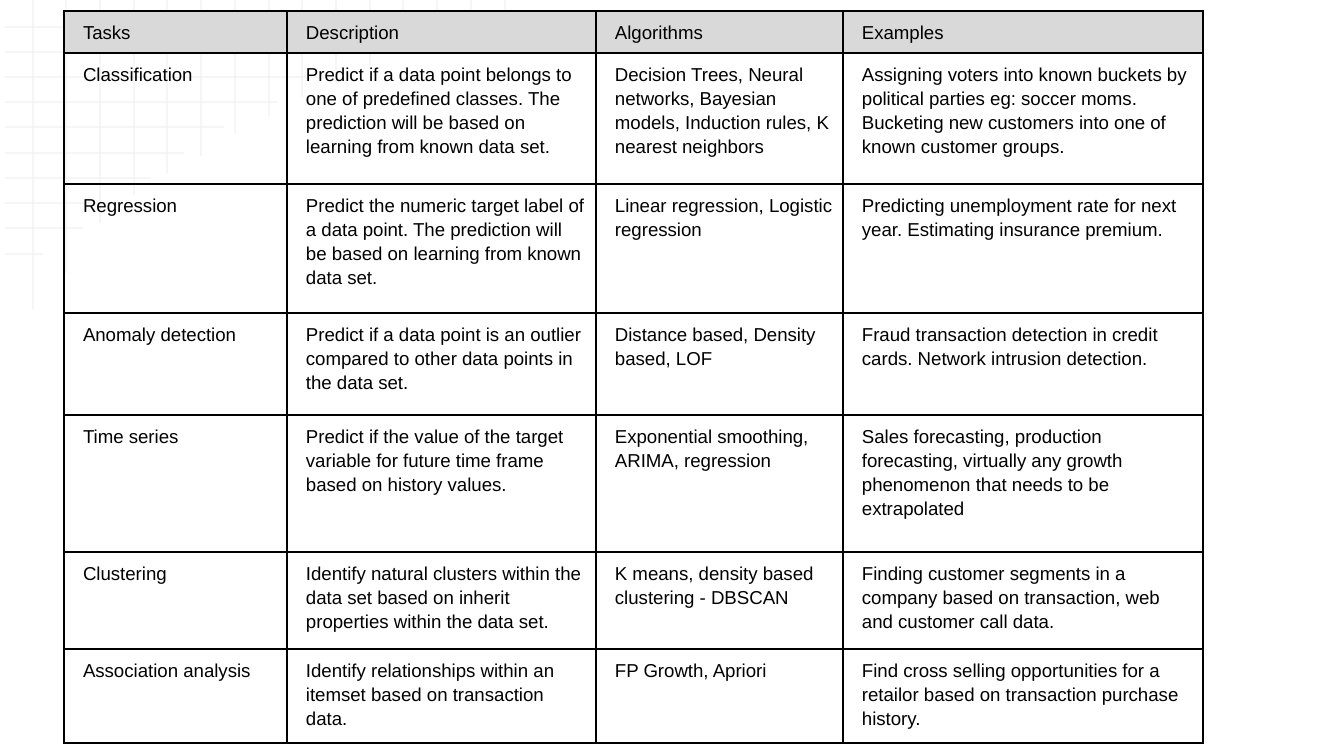
from dataclasses import dataclass

from lxml import etree
from pptx import Presentation
from pptx import util as u
from pptx.dml import color
from pptx.enum import shapes
from pptx.oxml import ns

PX = 6804


@dataclass
class Theme:
    ink: str = "000000"
    head: str = "D9D9D9"
    grid: str = "EFEFEF"
    font: str = "Arial"
    size: int = 10
    line: int = 1
    alpha: int = 54


theme = Theme()


def rule(x, y, right, end):
    line = slide.shapes.add_connector(
        shapes.MSO_CONNECTOR.STRAIGHT, x * PX, y * PX, right * PX, end * PX)
    line.line.width = u.Pt(theme.line)
    line.line.color.rgb = color.RGBColor.from_string(theme.grid)
    props = line._element.spPr
    tint = props.find(".//" + ns.qn("a:srgbClr"))
    etree.SubElement(tint, ns.qn("a:alpha"), val=str(theme.alpha * 1000))
    etree.SubElement(props, ns.qn("a:effectLst"))


def border(cell):
    props = cell._tc.get_or_add_tcPr()
    for at, side in enumerate(("lnL", "lnR", "lnT", "lnB")):
        edge = etree.Element(ns.qn("a:" + side), w=str(u.Pt(theme.line)))
        fill = etree.SubElement(edge, ns.qn("a:solidFill"))
        etree.SubElement(fill, ns.qn("a:srgbClr"), val=theme.ink)
        props.insert(at, edge)


deck = Presentation()
deck.slide_width = 1344 * PX
deck.slide_height = 756 * PX
slide = deck.slides.add_slide(deck.slide_layouts[6])

rights = [482, 396, 324, 278, 224, 184, 151, 114, 83, 43]
for i, right in enumerate(rights):
    y = 27 + i * 227 // 9
    rule(5, y, right, y)

ends = [309, 273, 223, 195, 173, 156, 133, 116, 97, 83, 65, 44, 32, 23, 19]
for i, end in enumerate(ends):
    x = 33 + i * 472 // 14
    rule(x, end, x, 0)

tasks = [
    ("Tasks", "Description", "Algorithms", "Examples"),
    ("Classification",
     "Predict if a data point belongs to one of predefined classes. "
     "The prediction will be based on learning from known data set.",
     "Decision Trees, Neural networks, Bayesian models, Induction rules, "
     "K nearest neighbors",
     "Assigning voters into known buckets by political parties eg: soccer moms. "
     "Bucketing new customers into one of known customer groups."),
    ("Regression",
     "Predict the numeric target label of a data point. "
     "The prediction will be based on learning from known data set.",
     "Linear regression, Logistic regression",
     "Predicting unemployment rate for next year. Estimating insurance premium."),
    ("Anomaly detection",
     "Predict if a data point is an outlier compared to other data points "
     "in the data set.",
     "Distance based, Density based, LOF",
     "Fraud transaction detection in credit cards. Network intrusion detection."),
    ("Time series",
     "Predict if the value of the target variable for future time frame "
     "based on history values.",
     "Exponential smoothing, ARIMA, regression",
     "Sales forecasting, production forecasting, virtually any growth "
     "phenomenon that needs to be extrapolated"),
    ("Clustering",
     "Identify natural clusters within the data set based on inherit "
     "properties within the data set.",
     "K means, density based clustering - DBSCAN",
     "Finding customer segments in a company based on transaction, web "
     "and customer call data."),
    ("Association analysis",
     "Identify relationships within an itemset based on transaction data.",
     "FP Growth, Apriori",
     "Find cross selling opportunities for a retailor based on transaction "
     "purchase history."),
]
widths = [223, 309, 247, 360]
heights = [42, 131, 129, 102, 137, 97, 94]

table = slide.shapes.add_table(
    len(heights), len(widths), 64 * PX, 11 * PX,
    sum(widths) * PX, sum(heights) * PX).table
table.first_row = False
table.horz_banding = False
for column, width in zip(table.columns, widths):
    column.width = width * PX
for row, height in zip(table.rows, heights):
    row.height = height * PX

for r, task in enumerate(tasks):
    for c, words in enumerate(task):
        cell = table.cell(r, c)
        cell.margin_left = cell.margin_right = 9 * PX
        cell.margin_top = cell.margin_bottom = 9 * PX
        if r == 0:
            cell.fill.solid()
            cell.fill.fore_color.rgb = color.RGBColor.from_string(theme.head)
        else:
            cell.fill.background()
        border(cell)
        cell.text_frame.text = words
        para = cell.text_frame.paragraphs[0]
        para.line_spacing = 1.15
        para._p.get_or_add_pPr().set("marL", str(10 * PX))
        font = para.runs[0].font
        font.name = theme.font
        font.size = u.Pt(theme.size)
        font.color.rgb = color.RGBColor.from_string(theme.ink)

deck.save("out.pptx")
